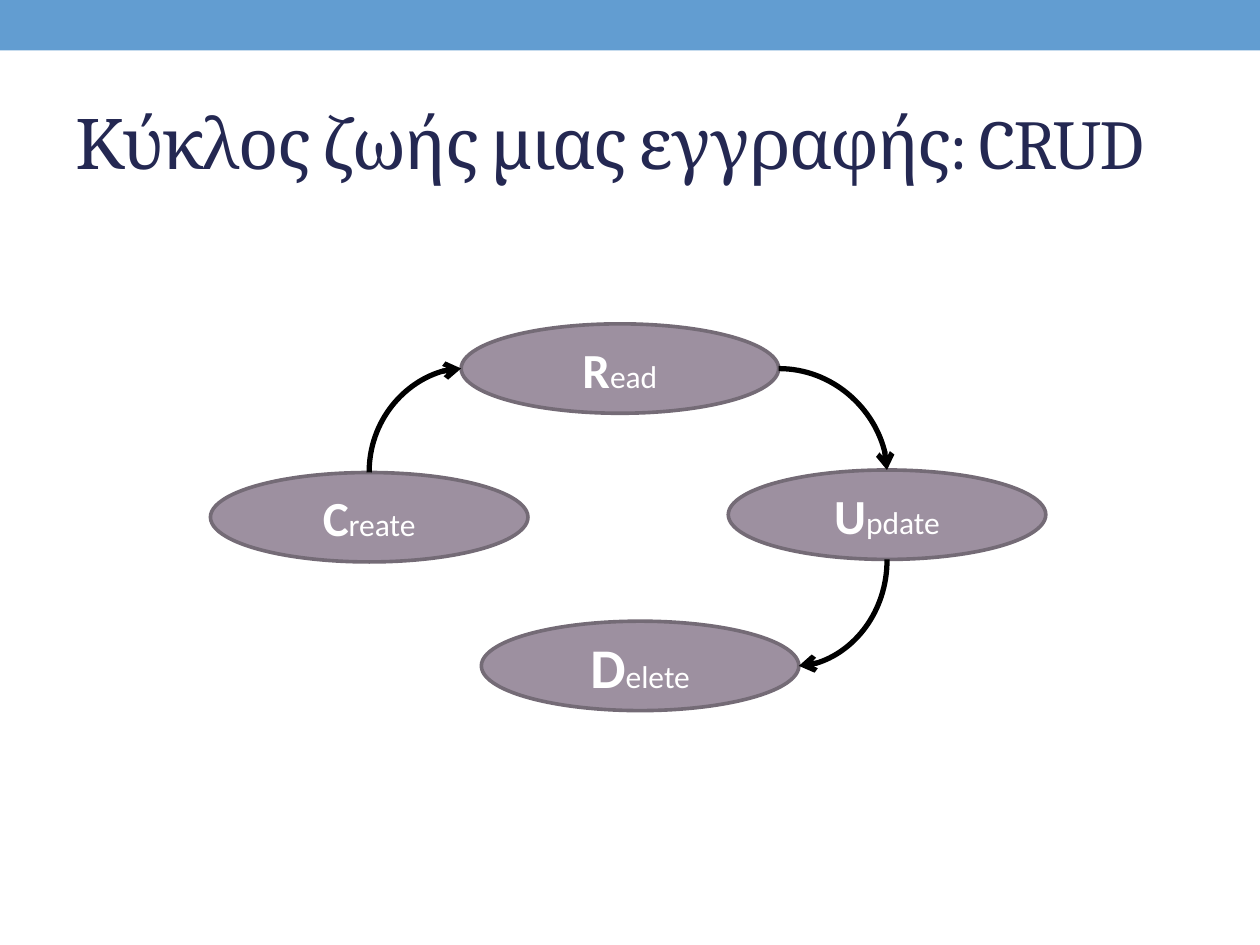
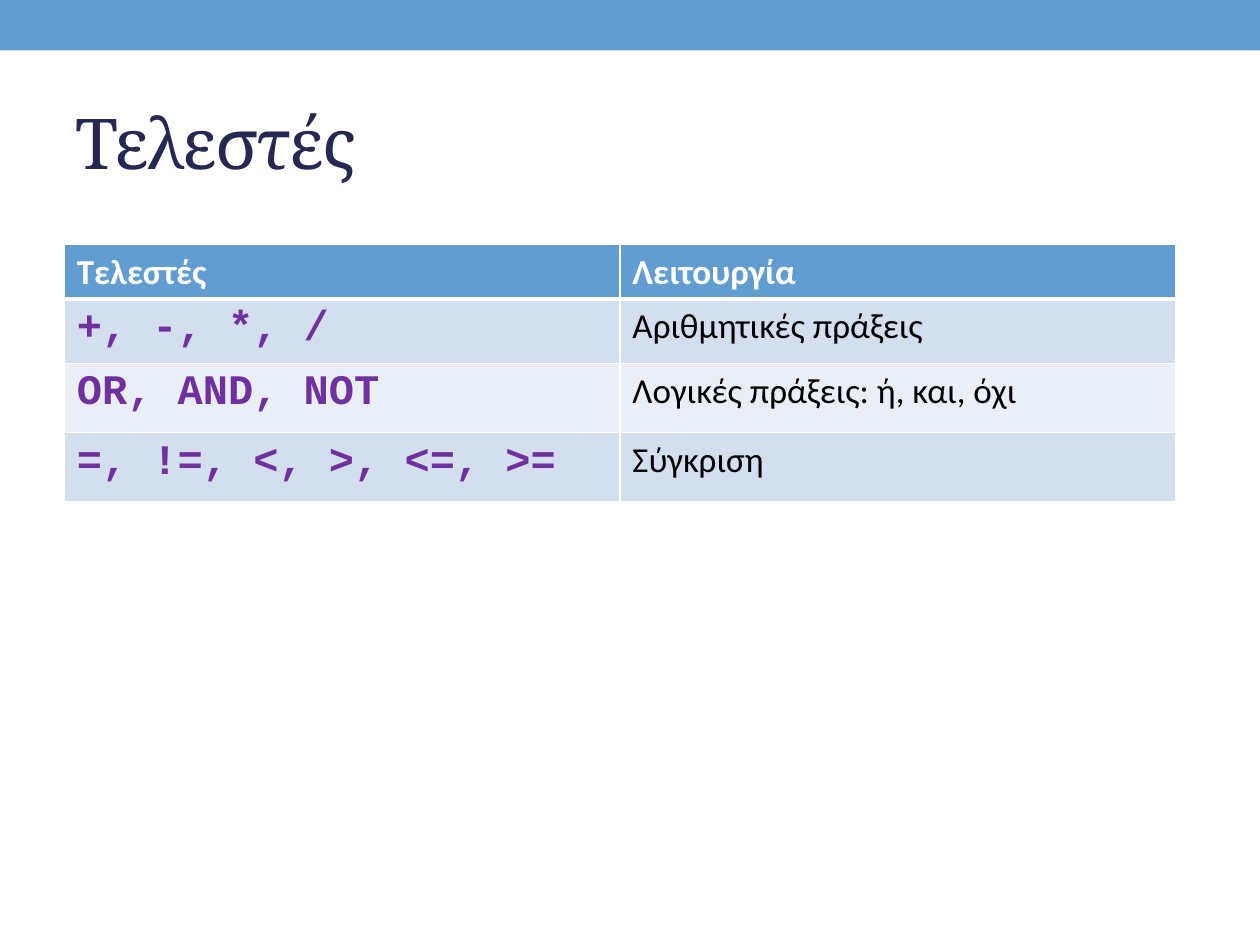
import pptx
import pptx.util
import pptx.dml.color
import pptx.enum.shapes
import pptx.enum.text
import pptx.oxml.ns
import lxml.etree

Inches = pptx.util.Inches
Pt = pptx.util.Pt
qn = pptx.oxml.ns.qn

COLORS = {
    "band": "629DD1",
    "title": "242852",
    "stage": "9D90A0",
    "stage_edge": "746B76",
    "arrow": "000000",
    "body": "000000",
    "code": "7030A0",
    "light": "FFFFFF",
    "odd_row": "D3DFEE",
    "even_row": "EAEFF7",
}

TITLE = {"name": "Cambria", "size": Pt(40), "color": "title"}
INITIAL = {"name": "Calibri", "size": Pt(28), "bold": True, "color": "light"}
BIG_INITIAL = {**INITIAL, "size": Pt(32)}
ENDING = {**INITIAL, "size": Pt(18), "bold": False}
HEADING = {**INITIAL, "size": Pt(20)}
OPERATOR = {"name": "Courier New", "size": Pt(24), "bold": True, "color": "code"}
MEANING = {"name": "Calibri", "size": Pt(20), "bold": False, "color": "body"}

STAGE_SIZE = Inches(2.52), Inches(0.71)
OPERATORS = [
    ("Τελεστές", "Λειτουργία"),
    ("+, -, *, /", "Αριθμητικές πράξεις"),
    ("OR, AND, NOT", "Λογικές πράξεις: ή, και, όχι"),
    ("=, !=, <, >, <=, >=", "Σύγκριση"),
]
ROW_HEIGHTS = [0.39, 0.51, 0.55, 0.55]


def rgb(key):
    return pptx.dml.color.RGBColor.from_string(COLORS[key])


def fill_with(fill, key):
    fill.solid()
    fill.fore_color.rgb = rgb(key)


def add_run(paragraph, text, style):
    run = paragraph.add_run()
    run.text = text
    for attribute, value in style.items():
        if attribute == "color":
            run.font.color.rgb = rgb(value)
        else:
            setattr(run.font, attribute, value)
    return run


def add_titled_slide(deck, title):
    slide = deck.slides.add_slide(deck.slide_layouts[6])
    band = slide.shapes.add_shape(
        pptx.enum.shapes.MSO_SHAPE.RECTANGLE, 0, 0, deck.slide_width, Inches(0.4))
    band.shadow.inherit = False
    fill_with(band.fill, "band")
    band.line.fill.background()
    heading = slide.shapes.add_textbox(
        Inches(0.5), Inches(0.58), Inches(9), Inches(1.08)).text_frame
    heading.word_wrap = True
    heading.vertical_anchor = pptx.enum.text.MSO_ANCHOR.MIDDLE
    run = add_run(heading.paragraphs[0], title, TITLE)
    run.font._element.set("spc", "-100")
    return slide


def add_stage(slide, left, top, initial, ending, initial_style=INITIAL):
    stage = slide.shapes.add_shape(
        pptx.enum.shapes.MSO_SHAPE.OVAL, Inches(left), Inches(top), *STAGE_SIZE)
    stage.shadow.inherit = False
    fill_with(stage.fill, "stage")
    stage.line.color.rgb = rgb("stage_edge")
    stage.line.width = Pt(2.08)
    stage.text_frame.vertical_anchor = pptx.enum.text.MSO_ANCHOR.MIDDLE
    word = stage.text_frame.paragraphs[0]
    word.alignment = pptx.enum.text.PP_ALIGN.CENTER
    add_run(word, initial, initial_style)
    add_run(word, ending, ENDING)
    return stage


def side_point(stage, side):
    across, down = {"top": (0.5, 0), "left": (0, 0.5),
                    "bottom": (0.5, 1), "right": (1, 0.5)}[side]
    return stage.left + stage.width * across, stage.top + stage.height * down


def add_curved_arrow(slide, source, source_side, target, target_side):
    x1, y1 = side_point(source, source_side)
    x2, y2 = side_point(target, target_side)
    starts_vertical = source_side in ("top", "bottom")
    run, rise = (y2 - y1, x1 - x2) if starts_vertical else (x2 - x1, y2 - y1)
    center_x, center_y = (x1 + x2) / 2, (y1 + y2) / 2
    ends = (center_x - run / 2, center_y - rise / 2,
            center_x + run / 2, center_y + rise / 2)
    arrow = slide.shapes.add_connector(
        pptx.enum.shapes.MSO_CONNECTOR.CURVE, *(round(end) for end in ends))
    arrow.line.color.rgb = rgb("arrow")
    arrow.line.width = Pt(3)
    properties = arrow._element.spPr
    properties.find(qn("a:prstGeom")).set("prst", "curvedConnector2")
    if starts_vertical:
        properties.find(qn("a:xfrm")).set("rot", "5400000")
    lxml.etree.SubElement(properties.find(qn("a:ln")), qn("a:tailEnd"), type="arrow")
    lxml.etree.SubElement(properties, qn("a:effectLst"))


def add_cell_borders(cell, widths):
    properties = cell._tc.get_or_add_tcPr()
    for side, width in widths.items():
        border = lxml.etree.SubElement(
            properties, qn(f"a:ln{side}"), w=str(Pt(width)))
        paint = lxml.etree.SubElement(border, qn("a:solidFill"))
        lxml.etree.SubElement(paint, qn("a:srgbClr"), val=COLORS["light"])


def add_operator_table(slide):
    table = slide.shapes.add_table(
        len(OPERATORS), 2, Inches(0.51), Inches(1.94),
        Inches(8.82), Inches(sum(ROW_HEIGHTS))).table
    for row_index, texts in enumerate(OPERATORS):
        table.rows[row_index].height = Inches(ROW_HEIGHTS[row_index])
        if row_index == 0:
            row_fill, styles = "band", (HEADING, HEADING)
        else:
            row_fill = "odd_row" if row_index % 2 else "even_row"
            styles = OPERATOR, MEANING
        borders = {"L": 1, "R": 1,
                   "T": 3 if row_index == 1 else 1,
                   "B": 3 if row_index == 0 else 1}
        for column, (text, style) in enumerate(zip(texts, styles)):
            cell = table.cell(row_index, column)
            add_cell_borders(cell, borders)
            fill_with(cell.fill, row_fill)
            add_run(cell.text_frame.paragraphs[0], text, style)


def main():
    deck = pptx.Presentation()
    deck.slide_width, deck.slide_height = Inches(10), Inches(7.5)

    life_cycle = add_titled_slide(deck, "Κύκλος ζωής μιας εγγραφής: CRUD")
    create = add_stage(life_cycle, 1.67, 3.75, "C", "reate")
    read = add_stage(life_cycle, 3.66, 2.57, "R", "ead")
    update = add_stage(life_cycle, 5.78, 3.73, "U", "pdate")
    delete = add_stage(life_cycle, 3.82, 4.93, "D", "elete", BIG_INITIAL)
    add_curved_arrow(life_cycle, create, "top", read, "left")
    add_curved_arrow(life_cycle, read, "right", update, "top")
    add_curved_arrow(life_cycle, update, "bottom", delete, "right")

    add_operator_table(add_titled_slide(deck, "Τελεστές"))
    deck.save("out.pptx")


if __name__ == "__main__":
    main()
